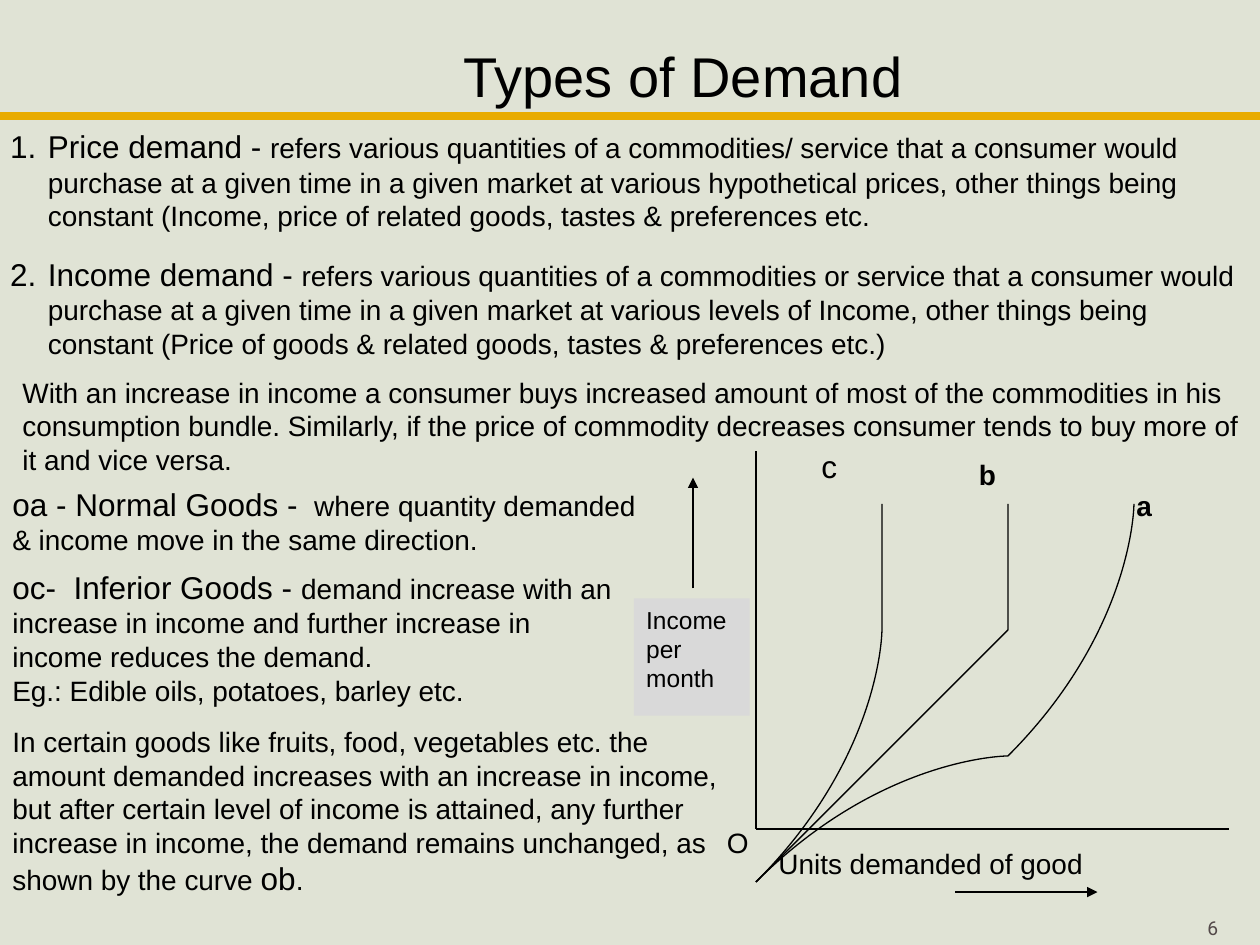
from pptx import Presentation
from pptx.dml.color import RGBColor
from pptx.enum.shapes import MSO_CONNECTOR as LINE, MSO_SHAPE as SHAPE
from pptx.enum.text import MSO_ANCHOR as ANCHOR, PP_ALIGN as ALIGN
from pptx.oxml.ns import qn
from pptx.util import Inches, Pt
from lxml.etree import SubElement

BLACK, GOLD, GREY, CREAM = "000000", "E8AB00", "D9D9D9", "E0E3D5"
MID, TOP = ANCHOR.MIDDLE, ANCHOR.TOP

# Content: each paragraph is a list of (text, size) runs
TITLE = [[("Types of Demand", 32)]]
TYPES = [
    [("Price demand - ", 18),
     ("refers various quantities of a commodities/ service that a consumer would "
      "purchase at a given time in a given market at various hypothetical prices, "
      "other things being constant (Income, price of related goods, tastes & "
      "preferences etc.", 16)],
    [("Income demand - ", 18),
     ("refers various quantities of a commodities or service that a consumer would "
      "purchase at a given time in a given market at various levels of Income, "
      "other things being constant (Price of goods & related goods, tastes & "
      "preferences etc.)", 16)],
]
EFFECT = [[("With an increase in income a consumer buys increased amount of most of "
            "the commodities in his consumption bundle. Similarly, if the price of "
            "commodity decreases consumer tends to buy more of it and vice versa.", 16)]]
NORMAL = [[("oa - Normal Goods - ", 18),
           (" where quantity demanded & income move in the same direction.", 16)]]
INFERIOR = [
    [("oc-  Inferior Goods - ", 18),
     ("demand increase with an increase in income and further increase in income "
      "reduces the demand.", 16)],
    [("Eg.: Edible oils, potatoes, barley etc.", 16)],
]
STEADY = [[("In certain goods like fruits, food, vegetables etc. the amount demanded "
            "increases with an increase in income, but after certain level of income "
            "is attained, any further increase in income, the demand remains "
            "unchanged, as shown by the curve ", 16), ("ob", 18), (".", 16)]]

# Text boxes: paragraphs, (left, top, width, height), anchor
BOXES = [
    (TITLE, (3.58, 0.28, 3.83, 0.64), TOP),
    (EFFECT, (0.08, 2.93, 9.92, 0.9), TOP),
    (NORMAL, (0, 3.8, 5.25, 0.67), TOP),
    (INFERIOR, (0, 4.46, 5, 1.2), TOP),
    (STEADY, (0, 5.7, 5.83, 1.47), MID),
    ([[("O", 16)]], (5.67, 6.5, 0.46, 0.37), MID),
    ([[("Units demanded of good", 16)]], (6.08, 6.67, 2.62, 0.37), MID),
    ([[("c", 18)]], (6.42, 3.5, 0.33, 0.4), TOP),
]
BOLD = [("b", (7.67, 3.58, 0.33, 0.37)), ("a", (8.92, 3.83, 0.42, 0.37))]

# Graph: curves run from the origin through Bezier points, three per segment
ORIGIN = (6, 6.58)
CURVES = [
    [(6.85, 6.29), (7.71, 6), (8.25, 5.58), (8.79, 5.17), (9.08, 4.33), (9.25, 4.08)],
    [(6.65, 6.2), (7.29, 5.81), (7.63, 5.33), (7.96, 4.85), (7.94, 3.98), (8, 3.71)],
    [(6.56, 5.89), (7.13, 5.19), (7.25, 4.71), (7.38, 4.23), (6.83, 3.88), (6.75, 3.71)],
]
# Lines: start, end, colour, width, arrow
LINES = [
    ((0, 0.92), (10, 0.92), GOLD, 4.5, False),
    ((6, 3.58), ORIGIN, BLACK, 0.75, False),
    (ORIGIN, (9.75, 6.58), BLACK, 0.75, False),
    ((7.58, 7.08), (8.71, 7.08), BLACK, 1.5, True),
    ((5.5, 4.67), (5.5, 3.79), BLACK, 1.5, True),
]


def rgb(code):
    return RGBColor.from_string(code)


def fill_text(shape, paras, anchor=TOP, color=BLACK, face="Arial", bold=False):
    frame = shape.text_frame
    frame.word_wrap, frame.vertical_anchor = True, anchor
    for i, runs in enumerate(paras):
        para = frame.add_paragraph() if i else frame.paragraphs[0]
        para.alignment = ALIGN.LEFT
        for text, size in runs:
            run = para.add_run()
            run.text = text
            font = run.font
            font.size, font.name, font.bold = Pt(size), face, bold
            font.color.rgb = rgb(color)
    return frame


def add_text(paras, area, *args, **style):
    box = slide.shapes.add_textbox(*map(Inches, area))
    return fill_text(box, paras, *args, **style)


def number(para, start, indent):
    props = para._p.get_or_add_pPr()
    props.set("marL", str(Inches(indent)))
    props.set("indent", str(-Inches(indent)))
    SubElement(props, qn("a:buFont"), typeface="Arial")
    SubElement(props, qn("a:buAutoNum"), type="arabicPeriod", startAt=str(start))


def add_line(start, end, color, width, arrow):
    line = slide.shapes.add_connector(LINE.STRAIGHT, *map(Inches, start + end))
    line.line.color.rgb, line.line.width = rgb(color), Pt(width)
    if arrow:
        SubElement(line.line._get_or_add_ln(), qn("a:tailEnd"), type="triangle")
    SubElement(line._element.spPr, qn("a:effectLst"))


def add_curve(points):
    form = slide.shapes.build_freeform(*ORIGIN, scale=Inches(1))
    form.add_line_segments(points, close=False)
    shape = form.convert_to_shape()
    shape.shadow.inherit = False
    shape.fill.background()
    shape.line.color.rgb, shape.line.width = rgb(BLACK), Pt(0.75)
    # Turn every three straight steps into one cubic segment
    track = shape._element.find(".//" + qn("a:path"))
    steps = track.findall(qn("a:lnTo"))
    for i in range(0, len(steps), 3):
        cubic = SubElement(track, qn("a:cubicBezTo"))
        for step in steps[i:i + 3]:
            cubic.append(step[0])
            track.remove(step)


prs = Presentation()
prs.slide_width, prs.slide_height = Inches(10), Inches(7.5)
slide = prs.slides.add_slide(prs.slide_layouts[6])
back = slide.background.fill
back.solid()
back.fore_color.rgb = rgb(CREAM)

# Lines and curves
for item in LINES:
    add_line(*item)
for points in CURVES:
    add_curve(points)

# Income label
tile = slide.shapes.add_shape(SHAPE.RECTANGLE, *map(Inches, (5.03, 4.75, 0.92, 0.93)))
tile.shadow.inherit = False
tile.fill.solid()
tile.fill.fore_color.rgb = rgb(GREY)
tile.line.fill.background()
fill_text(tile, [[("Income per month", 14)]])

# Text
for item in BOXES:
    add_text(*item)
for label, area in BOLD:
    add_text([[(label, 16)]], area, bold=True)

# Numbered list
frame = add_text(TYPES, (0.08, 0.96, 9.83, 1.95), MID)
frame.margin_left = frame.margin_right = 0
for i, para in enumerate(frame.paragraphs):
    number(para, i + 1, 0.3)
    if i:
        para.space_before = Pt(13)

# Page number
page = add_text([[("6", 11)]], (9.42, 7.25, 0.41, 0.22), MID, color="534949", face="Roboto")
page.paragraphs[0].alignment = ALIGN.CENTER

prs.save("out.pptx")
